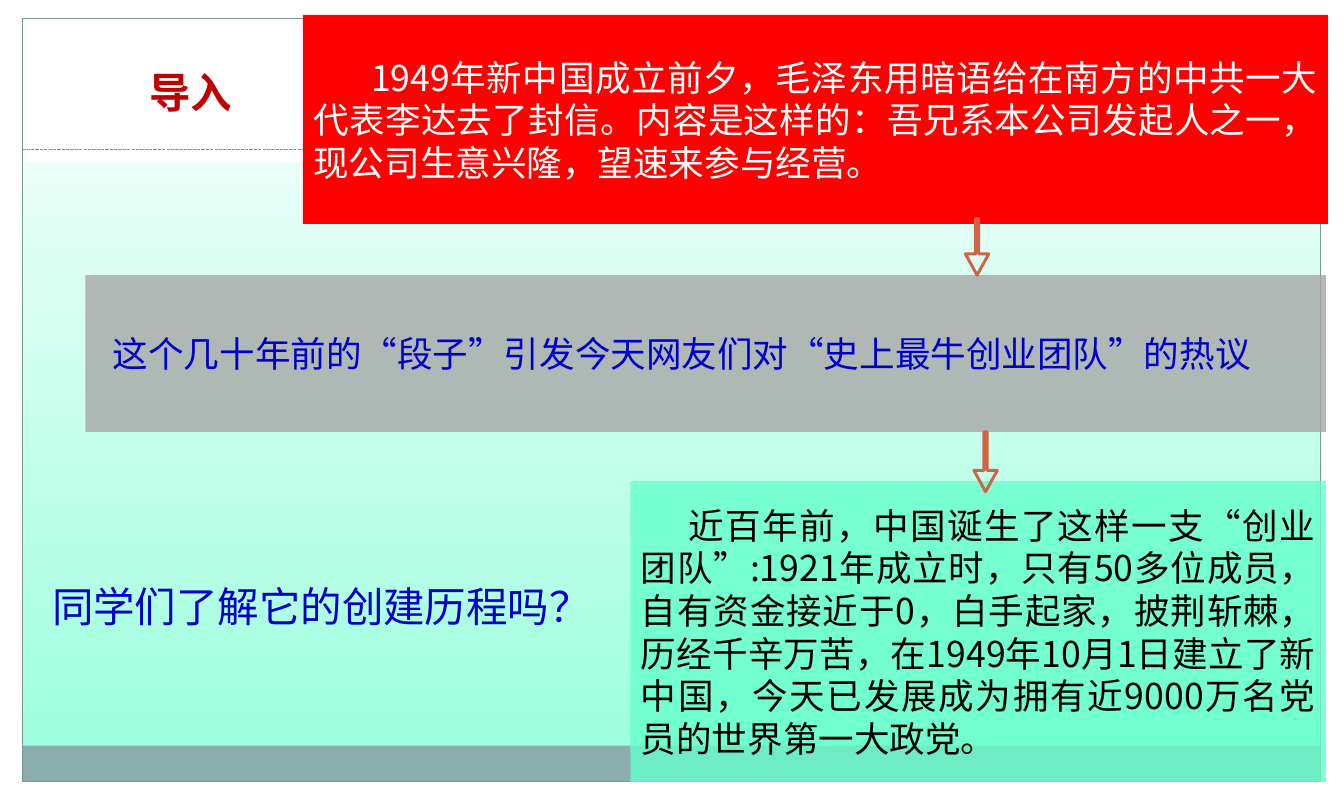
from lxml.etree import SubElement
from pptx import Presentation
from pptx.dml.color import RGBColor
from pptx.enum.dml import MSO_LINE
from pptx.enum.lang import MSO_LANGUAGE_ID
from pptx.enum.shapes import MSO_CONNECTOR, MSO_SHAPE
from pptx.enum.text import MSO_ANCHOR, PP_ALIGN
from pptx.oxml.ns import qn
from pptx.util import Inches, Pt

# Content
WIDE, HIGH = 12.6, 7.5
SC, JP = "Noto Sans CJK SC", "Noto Sans CJK JP"
EDGE, RUST, BLUE = "7B9899", "D16349", "0000CC"

BARS = [  # left, top, width, height, fill
    (0, 7.33, WIDE, 0.17, "FFFFFF"),
    (0, 0, WIDE, 1.52, "FFFFFF"),
    (0, 0, 0.21, HIGH, "FFFFFF"),
    (12.39, 0, 0.21, HIGH, "FFFFFF"),
    (0.21, 6.99, 12.17, 0.34, "8CADAE"),
]
PANELS = [  # place, fill, opacity, text, format
    ((2.84, 0.14, 9.61, 1.96), "FF0000", 100,
     "1949年新中国成立前夕，毛泽东用暗语给在南方的中共一大代表李达去了封信。"
     "内容是这样的：吾兄系本公司发起人之一，现公司生意兴隆，望速来参与经营。",
     dict(color="FFFFFF", indent=0.54)),
    ((0.8, 2.58, 11.63, 1.47), "A6A6A6", 79,
     "这个几十年前的“段子”引发今天网友们对“史上最牛创业团队”的热议",
     dict(color=BLUE, indent=0.16, space=Pt(27.8))),
    ((5.91, 4.51, 6.52, 2.82), "66FFCC", 79,
     "近百年前，中国诞生了这样一支“创业团队”:1921年成立时，只有50多位成员，"
     "自有资金接近于0，白手起家，披荆斩棘，历经千辛万苦，在1949年10月1日"
     "建立了新中国，今天已发展成为拥有近9000万名党员的世界第一大政党。",
     dict(color="000000", indent=0.45)),
]
LABELS = [  # place, text, format
    ((1.3, 0.44, 0.98, 0.71), "导入",
     dict(color="C00000", face=SC, bold=True, space=1.3)),
    ((0.39, 5.4, 5.25, 0.57), "同学们了解它的创建历程吗？", dict(color=BLUE)),
]
ARROWS = [(9.16, 2.05, 2.58), (9.24, 4.05, 4.61)]  # centre, top, tip


def tint(code):
    return RGBColor.from_string(code)


def write(frame, text, color, face=JP, size=24, bold=False, indent=0,
          space=None, align=PP_ALIGN.LEFT):
    para = frame.paragraphs[0]
    para.alignment = align
    if space:
        para.line_spacing = space
    # Keep punctuation inside the margins
    props = para._p.get_or_add_pPr()
    props.set("hangingPunct", "0")
    props.set("indent", str(Inches(indent)))
    run = para.add_run()
    run.text = text
    font = run.font
    font.name, font.size, font.bold = face, Pt(size), bold
    font.color.rgb = tint(color)
    font.language_id = MSO_LANGUAGE_ID.SIMPLIFIED_CHINESE
    SubElement(font._element, qn("a:ea"), typeface=face)


def block(place, fill=None, line=None, alpha=100):
    box = shapes.add_shape(MSO_SHAPE.RECTANGLE, *map(Inches, place))
    box.shadow.inherit = False
    if fill:
        box.fill.solid()
        box.fill.fore_color.rgb = tint(fill)
        if alpha < 100:
            code = box._element.spPr.find(".//" + qn("a:srgbClr"))
            SubElement(code, qn("a:alpha"), val=str(alpha * 1000))
    else:
        box.fill.background()
    if line:
        box.line.color.rgb = tint(line)
        box.line.width = Pt(0.75)
    else:
        box.line.fill.background()
    return box


def arrow(mid, top, tip, head=0.2, half=0.11, stem=0.015):
    neck = tip - head
    side = [(stem, top), (stem, neck), (half, neck)]
    spots = ([(mid + x, y) for x, y in side] + [(mid, tip)]
             + [(mid - x, y) for x, y in reversed(side)])
    spots = [(Inches(x), Inches(y)) for x, y in spots]
    form = shapes.build_freeform(*spots[0])
    form.add_line_segments(spots[1:], close=True)
    mark = form.convert_to_shape()
    mark.shadow.inherit = False
    mark.fill.background()
    mark.line.color.rgb = tint(RUST)
    mark.line.width = Pt(2)


# Slide and background
deck = Presentation()
deck.slide_width, deck.slide_height = Inches(WIDE), Inches(HIGH)
slide = deck.slides.add_slide(deck.slide_layouts[6])
shapes = slide.shapes
back = slide.background.fill
back.gradient()
back.gradient_angle = 270
for stop, code, spot in zip(back.gradient_stops, ("FFFFFF", "97FFDC"), (0, 1)):
    stop.color.rgb = tint(code)
    stop.position = spot

# Frame
for *place, fill in BARS:
    block(place, fill)
block((0.21, 0.17, 12.17, 7.16), line=EDGE)
rule = shapes.add_connector(MSO_CONNECTOR.STRAIGHT, Inches(0.21), Inches(1.4),
                            Inches(12.38), Inches(1.4))
rule.line.color.rgb = tint(EDGE)
rule.line.width = Pt(0.75)
rule.line.dash_style = MSO_LINE.SQUARE_DOT
SubElement(rule._element.spPr, qn("a:effectLst"))

# Panels
for place, fill, alpha, text, style in PANELS:
    frame = block(place, fill, alpha=alpha).text_frame
    frame.word_wrap = True
    frame.vertical_anchor = MSO_ANCHOR.MIDDLE
    write(frame, text, align=PP_ALIGN.JUSTIFY, **style)

# Title and question
for place, text, style in LABELS:
    frame = shapes.add_textbox(*map(Inches, place)).text_frame
    frame.word_wrap = False
    write(frame, text, size=28, **style)

# Arrows
for spots in ARROWS:
    arrow(*spots)

deck.save("out.pptx")
